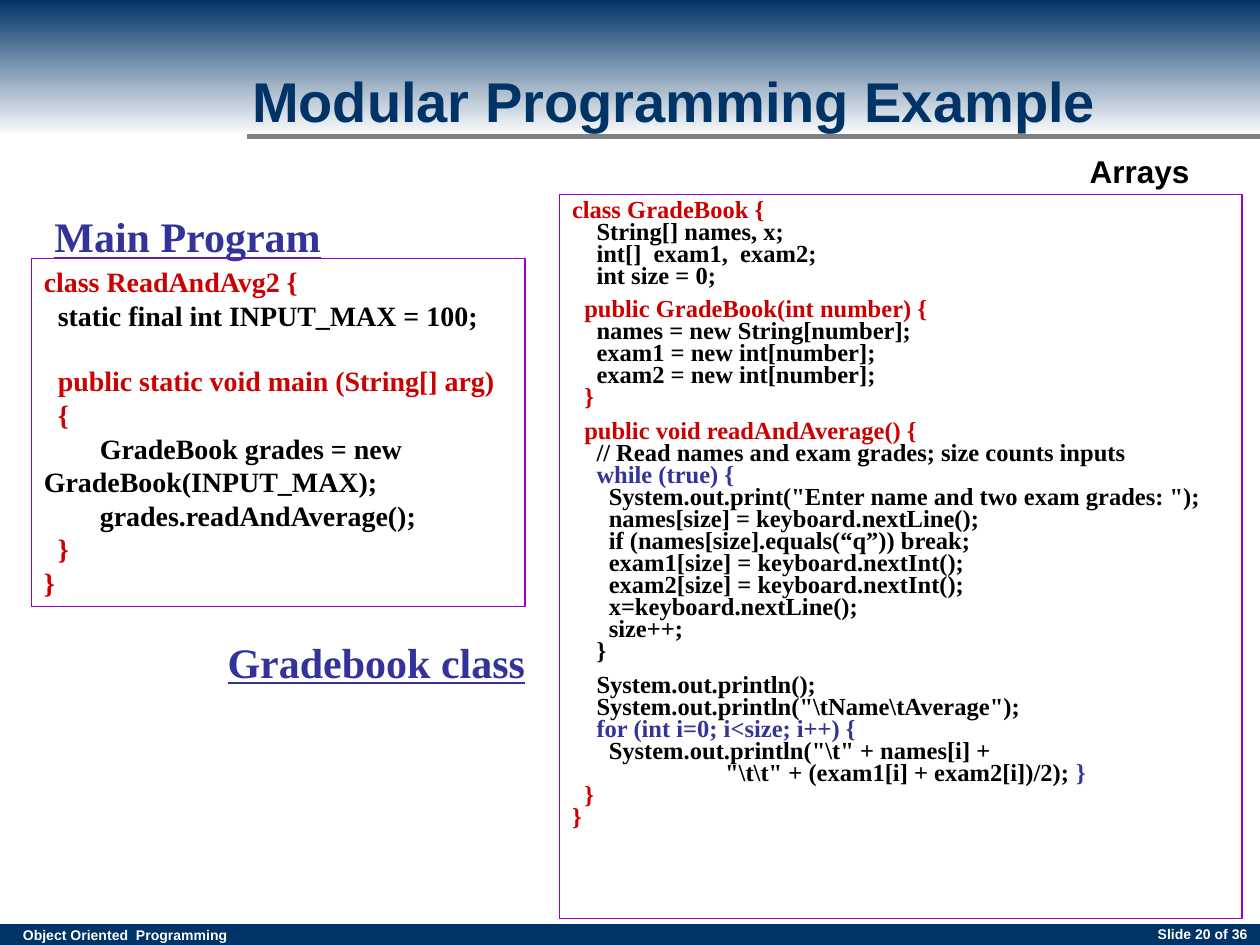
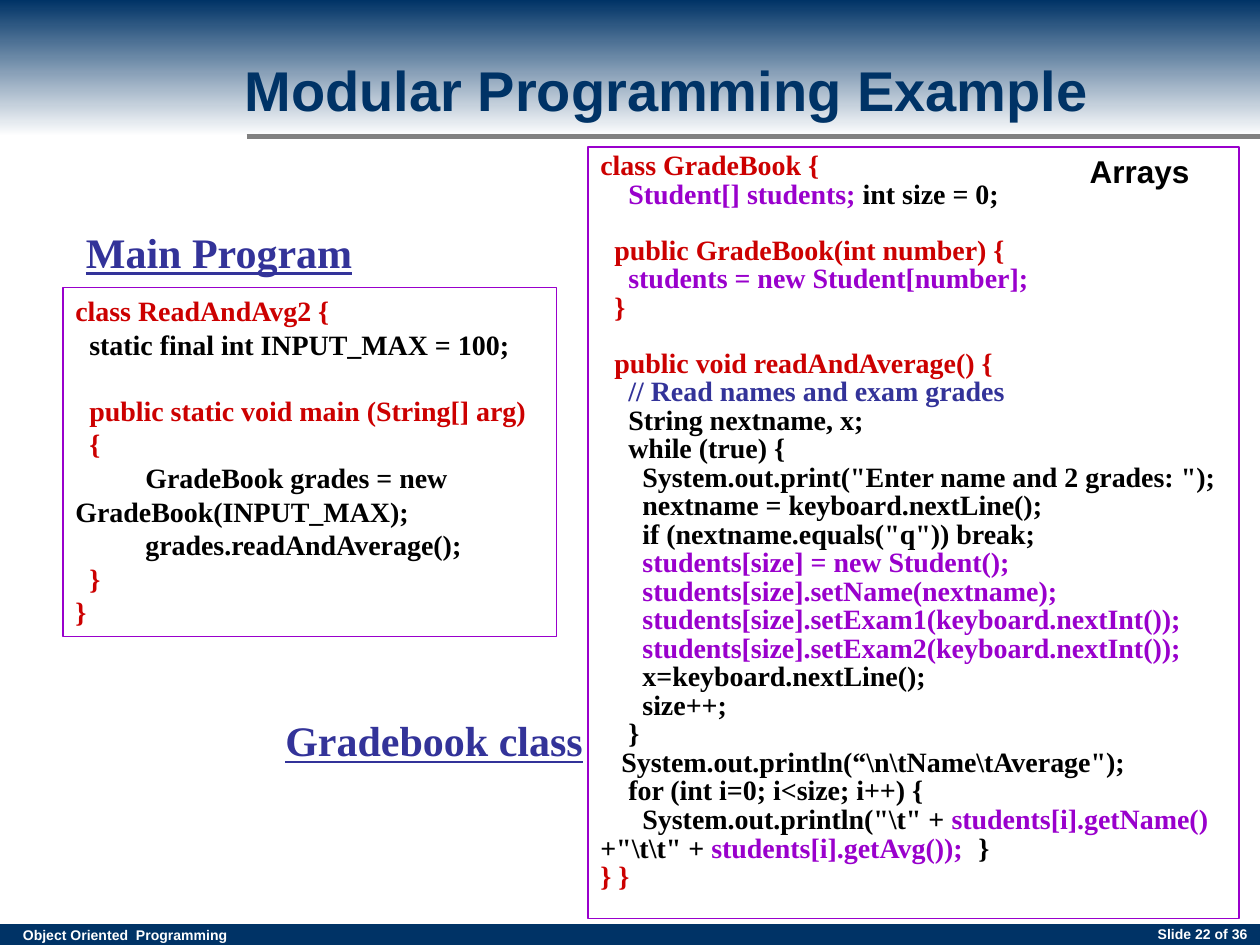
"""Two slides that compare array-based versions of a GradeBook class."""
from pptx import Presentation, util as u
from pptx.dml.color import RGBColor
from pptx.enum import shapes, text
from pptx.oxml.ns import qn
from lxml import etree

NAVY = RGBColor(0x00, 0x33, 0x66)
WHITE = RGBColor(0xFF, 0xFF, 0xFF)
GREY = RGBColor(0x80, 0x80, 0x80)
BLACK = RGBColor(0x00, 0x00, 0x00)
RED = RGBColor(0xCC, 0x00, 0x00)
INDIGO = RGBColor(0x33, 0x33, 0x99)
PURPLE = RGBColor(0x99, 0x00, 0xCC)
INKS = {"n": NAVY, "w": WHITE, "k": BLACK, "r": RED, "i": INDIGO, "p": PURPLE}
SANS, SERIF = "Arial", "Times New Roman"
LEFT, CENTER, RIGHT = text.PP_ALIGN.LEFT, text.PP_ALIGN.CENTER, text.PP_ALIGN.RIGHT

MAIN_PROGRAM = [r'''r|class ReadAndAvg2 {
k|  static final int INPUT_MAX = 100;''', r'''r|  public static void main (String[] arg)
r|  {
k|@GradeBook grades = new GradeBook(INPUT_MAX);
k|@grades.readAndAverage();
r|  }
r|}''']

PARALLEL_ARRAYS = [r'''r|class GradeBook {
k|    String[] names, x;
k|    int[]  exam1,  exam2;
k|    int size = 0;''', r'''r|  public GradeBook(int number) {
k|    names = new String[number];
k|    exam1 = new int[number];
k|    exam2 = new int[number];
r|  }''', r'''r|  public void readAndAverage() {
k|    // Read names and exam grades; size counts inputs
i|    while (true) {
k|      System.out.print("Enter name and two exam grades: ");
k|      names[size] = keyboard.nextLine();
k|      if (names[size].equals(“q”)) break;
k|      exam1[size] = keyboard.nextInt();
k|      exam2[size] = keyboard.nextInt();
k|      x=keyboard.nextLine();
k|      size++;
k|    }''', r'''k|    System.out.println();
k|    System.out.println("\tName\tAverage");
i|    for (int i=0; i<size; i++) {
k|      System.out.println("\t" + names[i] +
k|                         "\t\t" + (exam1[i] + exam2[i])/2);→|i|}
r|  }
r|}''']

STUDENT_ARRAY = [r'''r|class GradeBook {
p|    Student[] students;|k| int size = 0;''', r'''r|  public GradeBook(int number) {
p|    students = new Student[number];
r|  }''', r'''r|  public void readAndAverage() {
i|    // Read names and exam grades
k|    String nextname, x;
k|    while (true) {
k|      System.out.print("Enter name and 2 grades: ");
k|      nextname = keyboard.nextLine();
k|      if (nextname.equals("q")) break;
p|      students[size] = new Student();
p|      students[size].setName(nextname);
p|      students[size].setExam1(keyboard.nextInt());
p|      students[size].setExam2(keyboard.nextInt());
k|      x=keyboard.nextLine();
k|      size++;
k|    }
k|   System.out.println(“\n\tName\tAverage");
k|    for (int i=0; i<size; i++) {
k|      System.out.println("\t" + |p|students[i].getName()|k| +"\t\t" + |p|students[i].getAvg());|k|→}
r|} }''']

SLIDES = [
    dict(number=20, title=(22.8, 2), title_align=LEFT,
         main_heading=(4, 19.5, 40, 6), main=(3, 24.6, 47, 33.2), call_indent=8,
         class_heading=(20.5, 60, 31, 6), book=(53.3, 18.5, 65, 69),
         book_code=PARALLEL_ARRAYS,
         book_format=dict(size=14, spacing=0.75, gap=6.4, tab=4.14)),
    dict(number=22, title=(9.5, 1), title_align=CENTER,
         main_heading=(7, 21, 39, 6), main=(6, 27.4, 47, 33.2), call_indent=10,
         class_heading=(26, 67.5, 31, 6), book=(56, 14, 62, 73.5),
         book_code=STUDENT_ARRAY,
         book_format=dict(size=16, spacing=0.85, gap=15.6, tab=3.1)),
]

deck = Presentation()
deck.slide_width, deck.slide_height = u.Inches(10), u.Inches(7.5)
CELL = deck.slide_width / 120


def grid(*cells):
    return [round(cell * CELL) for cell in cells]


def write(shape, *blocks, size=16, font=SERIF, align=LEFT, underline=None,
          spacing=1.0, gap=0, tab=None, wrap=True, anchor=text.MSO_ANCHOR.TOP):
    """Write blocks of ink|text lines, a gap apart; leading spaces become indents."""
    frame = shape.text_frame
    frame.word_wrap, frame.vertical_anchor = wrap, anchor
    frame.auto_size = text.MSO_AUTO_SIZE.NONE
    paragraph = None
    for block in blocks:
        for row, line in enumerate(block.split("\n")):
            space_before = gap if paragraph and row == 0 else 0
            paragraph = frame.add_paragraph() if paragraph else frame.paragraphs[0]
            paragraph.alignment, paragraph.line_spacing = align, spacing
            paragraph.space_before = u.Pt(space_before)
            parts = line.split("|")
            opening = parts[1].lstrip()
            indent = u.Pt((len(parts[1]) - len(opening)) * size / 4)
            parts[1] = opening
            properties = paragraph._p.get_or_add_pPr()
            properties.set("marL", "0")
            properties.set("indent", str(indent))
            if "→" in line:
                stops = etree.SubElement(properties, qn("a:tabLst"))
                etree.SubElement(stops, qn("a:tab"), pos=str(u.Inches(tab)), algn="l")
            for ink, words in zip(parts[::2], parts[1::2]):
                run = paragraph.add_run()
                run.text = words.replace("→", "\t")
                run.font.name, run.font.size, run.font.bold = font, u.Pt(size), True
                run.font.underline = underline
                run.font.color.rgb = INKS[ink]


for page in SLIDES:
    slide = deck.slides.add_slide(deck.slide_layouts[5])
    canvas = slide.shapes

    footer_band = canvas.add_shape(shapes.MSO_SHAPE.RECTANGLE, *grid(0, 88, 120, 2))
    footer_band.fill.solid()
    footer_band.fill.fore_color.rgb = NAVY
    header_band = canvas.add_shape(shapes.MSO_SHAPE.RECTANGLE, *grid(0, 0, 120, 13))
    header_band.fill.gradient()
    header_band.fill.gradient_angle = 270
    for stop, shade in zip(header_band.fill.gradient_stops, (NAVY, WHITE)):
        stop.color.rgb = shade
    for band in (footer_band, header_band):
        band.shadow.inherit = False
        band.line.fill.background()

    rule = canvas.add_connector(shapes.MSO_CONNECTOR.STRAIGHT, *grid(23.5, 13, 120, 13))
    rule.line.color.rgb, rule.line.width = GREY, u.Pt(3)
    etree.SubElement(rule._element.spPr, qn("a:effectLst"))

    title = canvas.title
    title.left, title.top, title.width, title.height = grid(*page["title"], 108, 15)
    write(title, "n|Modular Programming Example", size=32, font=SANS,
          align=page["title_align"], anchor=text.MSO_ANCHOR.MIDDLE)
    canvas._spTree.append(title._element)

    labels = [
        ((1, 87.7, 24, 2.9), "w|Object Oriented  Programming", dict(size=8, font=SANS)),
        ((92, 87.6, 28, 3.2), f"w|Slide {page['number']} of 36",
         dict(size=8, font=SANS, align=RIGHT)),
        ((102.6, 13.9, 11.9, 4.8), "k|Arrays", dict(size=18, font=SANS, wrap=False)),
        (page["main_heading"], "i|Main Program", dict(size=24, underline=True)),
        (page["class_heading"], "i|Gradebook class", dict(size=24, underline=True)),
    ]
    for place, words, style in labels:
        write(canvas.add_textbox(*grid(*place)), words, **style)

    main_code = [block.replace("@", " " * page["call_indent"]) for block in MAIN_PROGRAM]
    listings = [(page["book"], page["book_code"], page["book_format"]),
                (page["main"], main_code, dict(size=16, gap=18.4))]
    for place, code, style in listings:
        listing = canvas.add_shape(shapes.MSO_SHAPE.RECTANGLE, *grid(*place))
        listing.shadow.inherit = False
        listing.fill.background()
        listing.line.color.rgb, listing.line.width = PURPLE, u.Pt(0.75)
        write(listing, *code, **style)

deck.save("out.pptx")
